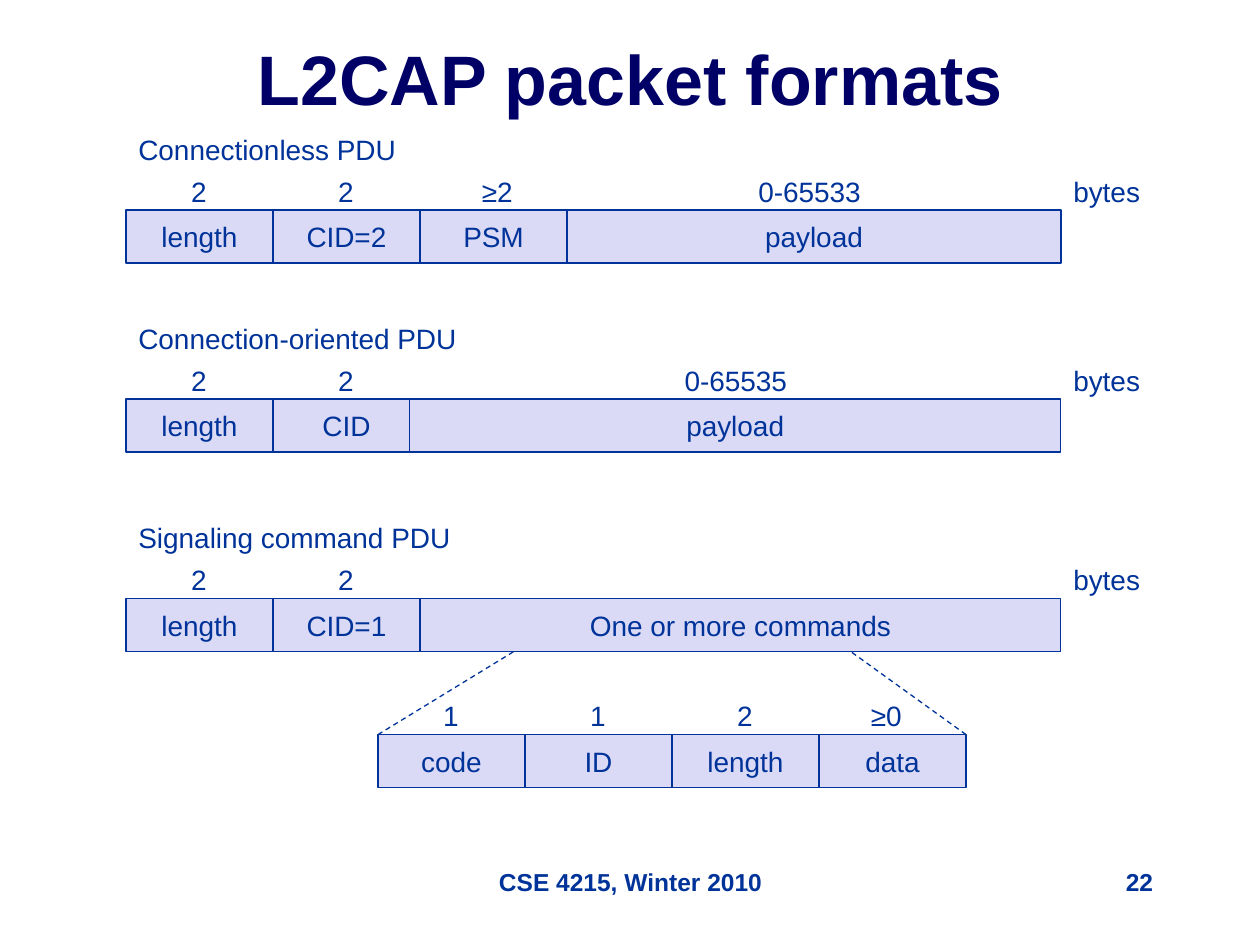
from dataclasses import dataclass

from lxml.etree import SubElement
from pptx import Presentation
from pptx.dml.color import RGBColor
from pptx.enum.dml import MSO_LINE
from pptx.enum.shapes import MSO_CONNECTOR, MSO_SHAPE
from pptx.enum.text import MSO_ANCHOR, MSO_AUTO_SIZE, PP_ALIGN
from pptx.oxml.ns import qn
from pptx.slide import Slide
from pptx.text.text import TextFrame
from pptx.util import Inches, Pt

NAVY = RGBColor(0x00, 0x00, 0x66)
BLUE = RGBColor(0x00, 0x33, 0x99)
LAVENDER = RGBColor(0xDA, 0xDA, 0xF6)

FIELD_WIDTH = 7 / 6
FIELD_HEIGHT = 0.42
LABEL_RISE = 1 / 3
LABEL_HEIGHT = 0.37
LABEL_WIDTHS = {"1": 0.33, "2": 0.33, "≥2": 0.5, "≥0": 0.5, "0-65533": 1.04, "0-65535": 1.04}
PACKET_LEFT = 1
PACKET_RIGHT = PACKET_LEFT + 7.42


@dataclass(frozen=True)
class Field:
    name: str
    size: str
    left: float
    width: float = FIELD_WIDTH
    size_shift: float = 0


@dataclass(frozen=True)
class Packet:
    top: float
    fields: list[Field]
    heading: str = ""
    heading_width: float = 0


def column(start: float, index: int) -> float:
    return start + index * FIELD_WIDTH


def last_field(name: str, size: str, left: float, size_shift: float = 0) -> Field:
    return Field(name, size, left, PACKET_RIGHT - left, size_shift)


COMMAND_LEFT = 3
COMMAND_TOP = 5.83
SIGNALING_TOP = 4.75

PACKETS = [
    Packet(5 / 3, [
        Field("length", "2", column(PACKET_LEFT, 0)),
        Field("CID=2", "2", column(PACKET_LEFT, 1)),
        Field("PSM", "≥2", column(PACKET_LEFT, 2), size_shift=0.06),
        last_field("payload", "0-65533", column(PACKET_LEFT, 3), -0.02),
    ], "Connectionless PDU", 2.3),
    Packet(19 / 6, [
        Field("length", "2", column(PACKET_LEFT, 0)),
        Field("CID", "2", column(PACKET_LEFT, 1)),
        last_field("payload", "0-65535", 3.25, 0.02),
    ], "Connection-oriented PDU", 2.8),
    Packet(SIGNALING_TOP, [
        Field("length", "2", column(PACKET_LEFT, 0)),
        Field("CID=1", "2", column(PACKET_LEFT, 1)),
        last_field("One or more commands", "", column(PACKET_LEFT, 2)),
    ], "Signaling command PDU", 2.75),
    Packet(COMMAND_TOP, [
        Field("code", "1", column(COMMAND_LEFT, 0)),
        Field("ID", "1", column(COMMAND_LEFT, 1)),
        Field("length", "2", column(COMMAND_LEFT, 2)),
        Field("data", "≥0", column(COMMAND_LEFT, 3), size_shift=-0.02),
    ]),
]


def write_text(frame: TextFrame, text: str, size: int = 16, color: RGBColor = BLUE,
               bold: bool = False, alignment: PP_ALIGN = PP_ALIGN.LEFT) -> None:
    paragraph = frame.paragraphs[0]
    paragraph.text = text
    paragraph.alignment = alignment
    paragraph.font.name = "Arial"
    paragraph.font.size = Pt(size)
    paragraph.font.bold = bold
    paragraph.font.color.rgb = color


def add_label(slide: Slide, text: str, left: float, top: float, width: float) -> None:
    label = slide.shapes.add_textbox(Inches(left), Inches(top), Inches(width), Inches(LABEL_HEIGHT))
    label.text_frame.word_wrap = True
    label.text_frame.auto_size = MSO_AUTO_SIZE.SHAPE_TO_FIT_TEXT
    write_text(label.text_frame, text)


def add_banner(slide: Slide, text: str, left: float, top: float, width: float, height: float,
               size: int, color: RGBColor, alignment: PP_ALIGN, anchor: MSO_ANCHOR) -> None:
    banner = slide.shapes.add_textbox(Inches(left), Inches(top), Inches(width), Inches(height))
    banner.text_frame.word_wrap = True
    banner.text_frame.vertical_anchor = anchor
    write_text(banner.text_frame, text, size, color, True, alignment)


def add_field(slide: Slide, field: Field, top: float) -> None:
    box = slide.shapes.add_shape(MSO_SHAPE.RECTANGLE, Inches(field.left), Inches(top),
                                 Inches(field.width), Inches(FIELD_HEIGHT))
    box.shadow.inherit = False
    box.fill.solid()
    box.fill.fore_color.rgb = LAVENDER
    box.line.color.rgb = BLUE
    box.line.width = Pt(0.75)
    box.text_frame.word_wrap = False
    box.text_frame.vertical_anchor = MSO_ANCHOR.MIDDLE
    write_text(box.text_frame, field.name, alignment=PP_ALIGN.CENTER)
    if field.size:
        width = LABEL_WIDTHS[field.size]
        left = field.left + (field.width - width) / 2 + field.size_shift
        add_label(slide, field.size, left, top - LABEL_RISE, width)


def add_packet(slide: Slide, packet: Packet) -> None:
    for field in packet.fields:
        add_field(slide, field, packet.top)
    if packet.heading:
        add_label(slide, "bytes", PACKET_RIGHT, packet.top - LABEL_RISE, 0.76)
        add_label(slide, packet.heading, PACKET_LEFT, packet.top - 2 * LABEL_RISE,
                  packet.heading_width)


def add_dashed_line(slide: Slide, start_x: float, end_x: float) -> None:
    line = slide.shapes.add_connector(MSO_CONNECTOR.STRAIGHT, Inches(start_x), Inches(COMMAND_TOP),
                                      Inches(end_x), Inches(SIGNALING_TOP + FIELD_HEIGHT))
    line.line.color.rgb = BLUE
    line.line.width = Pt(0.75)
    line.line.dash_style = MSO_LINE.DASH
    SubElement(line._element.spPr, qn("a:effectLst"))


def main() -> None:
    presentation = Presentation()
    presentation.slide_width = Inches(10)
    presentation.slide_height = Inches(7.5)
    slide = presentation.slides.add_slide(presentation.slide_layouts[6])

    add_banner(slide, "L2CAP packet formats", 0.75, 0.25, 8.5, 0.75, 40, NAVY,
               PP_ALIGN.CENTER, MSO_ANCHOR.BOTTOM)
    for packet in PACKETS:
        add_packet(slide, packet)
    add_dashed_line(slide, COMMAND_LEFT, 4.08)
    add_dashed_line(slide, column(COMMAND_LEFT, 4), 6.75)
    add_banner(slide, "CSE 4215, Winter 2010", 3.42, 6.83, 3.17, 0.5, 14, BLUE,
               PP_ALIGN.CENTER, MSO_ANCHOR.TOP)
    add_banner(slide, "22", 7.17, 6.83, 2.08, 0.5, 14, BLUE, PP_ALIGN.RIGHT, MSO_ANCHOR.TOP)

    presentation.save("out.pptx")


if __name__ == "__main__":
    main()
